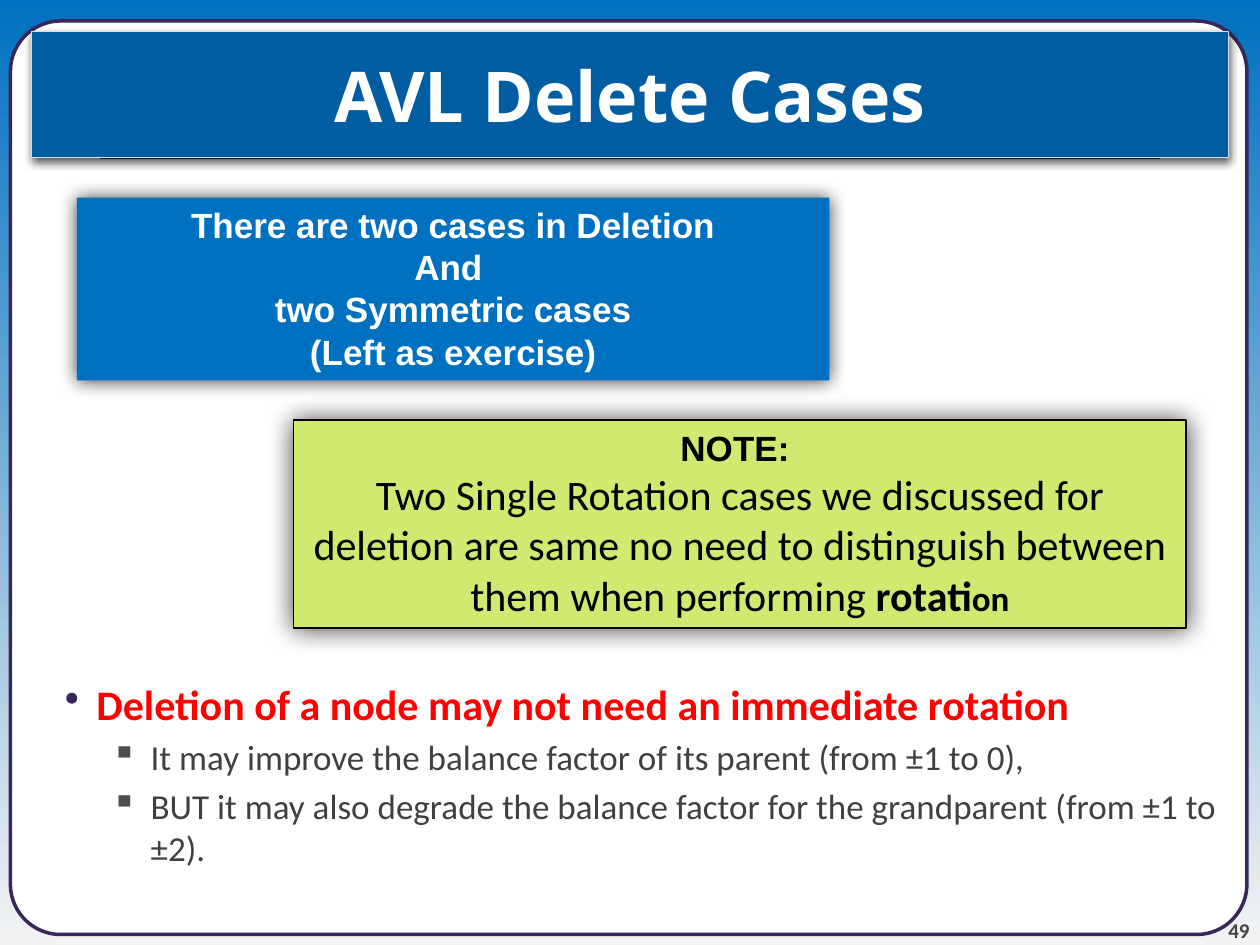
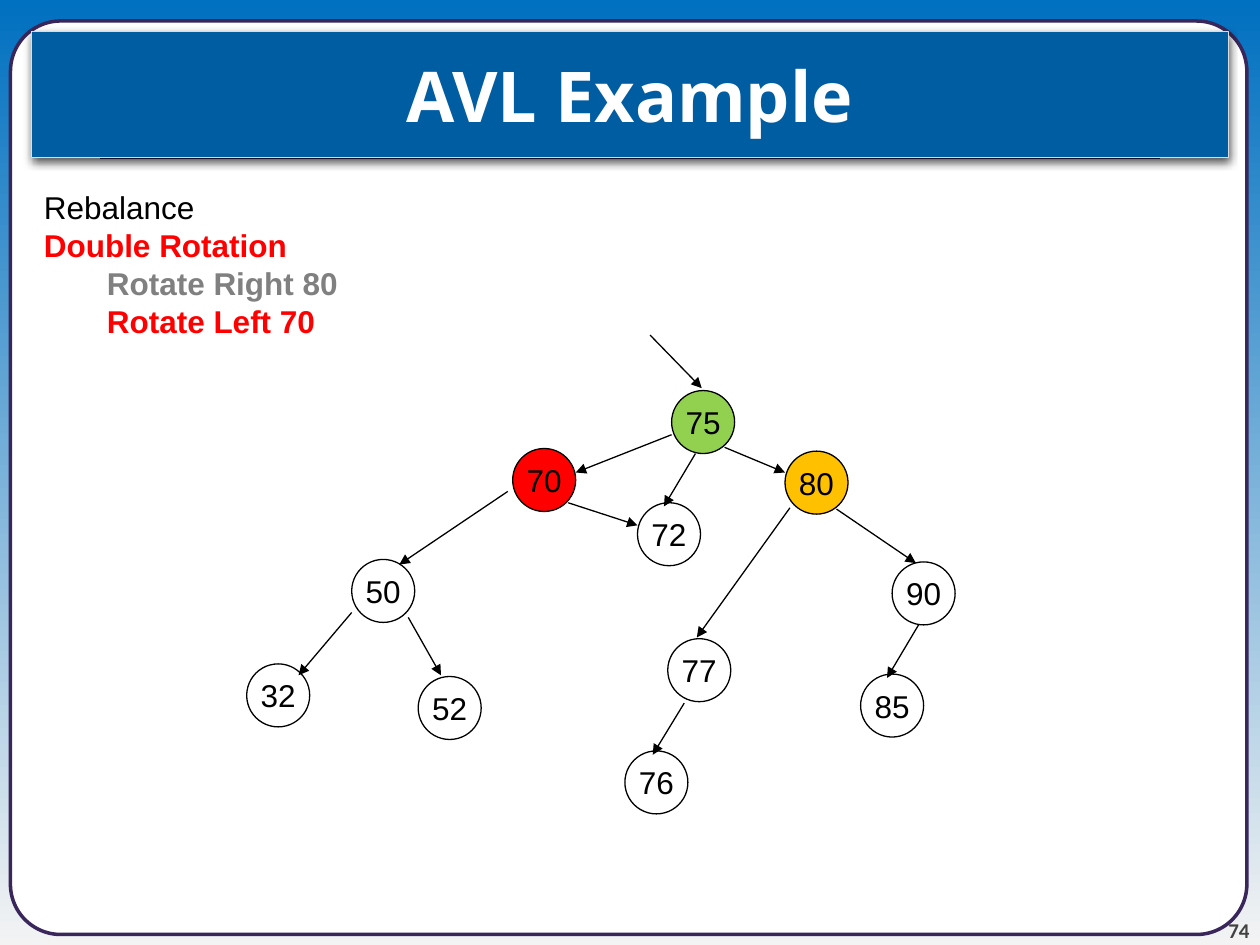
from lxml.etree import SubElement
from pptx import Presentation
from pptx.dml.color import RGBColor
from pptx.enum.shapes import MSO_CONNECTOR, MSO_SHAPE
from pptx.enum.text import MSO_ANCHOR, PP_ALIGN
from pptx.oxml.ns import qn
from pptx.util import Pt

COLORS = {
    "sky": "0070C0", "mist": "F3F3F3", "white": "FFFFFF", "black": "000000",
    "plum": "39275B", "title": "005DA2", "edge": "DCDCDC", "number": "424242",
    "lime": "CFE971", "red": "FF0000", "gray": "808080", "body": "404040",
    "bullet": "4D4D4D", "amber": "FFC000", "green": "92D050",
}

TITLE = {"name": "Open Sans", "size": Pt(40), "bold": True, "color": "white"}
NUMBER = {"name": "Calibri", "size": Pt(12), "bold": True, "color": "number"}
CASES = {"name": "Arial", "size": Pt(20), "bold": True, "color": "white"}
NOTE_HEAD = {**CASES, "color": "black"}
NOTE = {"name": "Calibri", "size": Pt(24), "bold": False, "color": "black"}
NOTE_BOLD = {**NOTE, "bold": True}
NOTE_END = {**NOTE_BOLD, "size": Pt(20)}
POINT = {**NOTE_BOLD, "color": "red"}
SUBPOINT = {**NOTE, "size": Pt(20), "color": "body"}
KEY = {"name": "Arial", "size": Pt(18), "bold": False, "color": "black"}
STEP = {**KEY, "bold": True, "color": "red"}
DONE = {**STEP, "color": "gray"}

NODES = [
    ("75", 242.8, 32.2, "green"), ("70", 152, 65.3, "red"),
    ("80", 307.6, 66.8, "amber"), ("72", 223.3, 96.3, None),
    ("50", 60, 128.7, None), ("90", 368.8, 130.1, None),
    ("32", 0, 188.4, None), ("52", 98, 195.6, None),
    ("77", 240.6, 174, None), ("85", 350.8, 194.2, None),
    ("76", 216.1, 238.1, None),
]
LINKS = [
    (230.5, 0.5, 260, 30.8), (242.8, 57.4, 188, 79),
    (273, 64.6, 307.6, 79), (256.4, 68.2, 238.4, 98.4),
    (183.7, 96.3, 223.3, 109.2), (149.2, 89.8, 87.2, 131.6),
    (60, 159, 29.6, 194.9), (92.3, 161.8, 111, 194.9),
    (337, 99.9, 382.4, 130.8), (310.4, 99.2, 257.2, 173.3),
    (383.9, 166.1, 365.9, 196.4), (250, 210.8, 232, 240.3),
]


def rgb(color):
    return RGBColor.from_string(COLORS[color])


def write(frame, paragraphs, align=PP_ALIGN.LEFT, anchor=MSO_ANCHOR.TOP, wrap=True):
    frame.word_wrap = wrap
    frame.vertical_anchor = anchor
    for index, runs in enumerate(paragraphs):
        paragraph = frame.paragraphs[0] if index == 0 else frame.add_paragraph()
        paragraph.alignment = align
        for words, style in runs:
            run = paragraph.add_run()
            run.text = words
            for name, value in style.items():
                if name == "color":
                    run.font.color.rgb = rgb(value)
                else:
                    setattr(run.font, name, value)


def textbox(slide, box):
    return slide.shapes.add_textbox(*map(Pt, box)).text_frame


def panel(slide, kind, box, fill=None, line=None, weight=0.75):
    shape = slide.shapes.add_shape(kind, *map(Pt, box))
    if fill:
        shape.fill.solid()
        shape.fill.fore_color.rgb = rgb(fill)
    else:
        shape.fill.background()
    if line:
        shape.line.color.rgb = rgb(line)
        shape.line.width = Pt(weight)
    else:
        shape.line.fill.background()
    shape.shadow.inherit = False
    return shape


def cast_shadow(shape, blur, distance, opacity):
    effects = shape._element.spPr.find(qn("a:effectLst"))
    shadow = SubElement(effects, qn("a:outerShdw"), blurRad=str(Pt(blur)),
                        dist=str(Pt(distance)), dir="5400000", algn="ctr", rotWithShape="0")
    tint = SubElement(shadow, qn("a:srgbClr"), val=COLORS["black"])
    SubElement(tint, qn("a:alpha"), val=str(opacity * 1000))


def connect(slide, ends, color, weight, arrow=False):
    link = slide.shapes.add_connector(MSO_CONNECTOR.STRAIGHT, *map(Pt, ends))
    link.line.color.rgb = rgb(color)
    link.line.width = Pt(weight)
    if arrow:
        SubElement(link.line._get_or_add_ln(), qn("a:tailEnd"), type="triangle")
    SubElement(link._element.spPr, qn("a:effectLst"))


def indent(paragraph, margin, first=0, level=0):
    paragraph.level = level
    properties = paragraph._p.get_or_add_pPr()
    properties.set("marL", str(Pt(margin)))
    properties.set("indent", str(Pt(first)))
    return properties


def add_bullet(paragraph, mark, color, margin, first, level):
    properties = indent(paragraph, margin, first, level)
    tint = SubElement(properties, qn("a:buClr"))
    SubElement(tint, qn("a:srgbClr"), val=COLORS[color])
    SubElement(properties, qn("a:buChar"), char=mark)


def framed_slide(deck, title, number):
    slide = deck.slides.add_slide(deck.slide_layouts[6])
    backdrop = slide.background.fill
    backdrop.gradient()
    backdrop.gradient_angle = 270
    for stop, color, position in zip(backdrop.gradient_stops, ("sky", "mist"), (0, 1)):
        stop.color.rgb = rgb(color)
        stop.position = position

    page = panel(slide, MSO_SHAPE.ROUNDED_RECTANGLE, (6, 12, 706.5, 522), "white", "plum", 2)
    page.adjustments[0] = 0.055
    footer = textbox(slide, (654, 510, 60, 28.8))
    for side in ("left", "top", "right", "bottom"):
        setattr(footer, f"margin_{side}", 0)
    write(footer, [[(number, NUMBER)]], PP_ALIGN.RIGHT, MSO_ANCHOR.BOTTOM)
    connect(slide, (57, 90, 663, 90), "plum", 2.25)

    banner = panel(slide, MSO_SHAPE.RECTANGLE, (18, 18, 684, 72), "title", "edge")
    cast_shadow(banner, 5, 2, 65)
    write(banner.text_frame, [[(title, TITLE)]], PP_ALIGN.CENTER, MSO_ANCHOR.MIDDLE)
    return slide


def note_box(slide, box):
    note = panel(slide, MSO_SHAPE.RECTANGLE, box, "lime", "black")
    cast_shadow(note, 15, 0, 75)
    write(note.text_frame, [
        [("NOTE: ", NOTE_HEAD)],
        [("Two Single Rotation cases we discussed for deletion are same no need "
          "to distinguish between them when performing ", NOTE),
         ("rotati", NOTE_BOLD), ("on", NOTE_END)],
    ], PP_ALIGN.CENTER)


def cases_box(slide, box):
    cases = panel(slide, MSO_SHAPE.RECTANGLE, box, "sky")
    cast_shadow(cases, 11, 0, 75)
    lines = ("There are two cases in Deletion", "And ",
             "two Symmetric cases", "(Left as exercise)")
    write(cases.text_frame, [[(line, CASES)] for line in lines], PP_ALIGN.CENTER)


def deletion_points(slide, box):
    points = textbox(slide, box)
    write(points, [
        [("Deletion of a node may not need an immediate rotation", POINT)],
        [("It may improve the balance factor of its parent (from ±1 to 0),", SUBPOINT)],
        [("BUT it may also degrade the balance factor for the grandparent "
          "(from ±1 to ±2).", SUBPOINT)],
    ])
    point, *subpoints = points.paragraphs
    add_bullet(point, "•", "plum", 36, -18, 0)
    for subpoint in subpoints:
        subpoint.space_before = Pt(4)
        add_bullet(subpoint, "▪", "bullet", 67, -22.5, 1)


def rotation_steps(slide, box):
    steps = textbox(slide, box)
    write(steps, [
        [("Rebalance", KEY)], [("Double Rotation", STEP)],
        [("Rotate Right 80", DONE)], [("Rotate Left 70", STEP)],
    ], wrap=False)
    for step in steps.paragraphs[2:]:
        indent(step, 36, level=1)


def avl_tree(slide, left, top, diameter):
    for key, x, y, fill in NODES:
        node = panel(slide, MSO_SHAPE.OVAL, (left + x, top + y, diameter, diameter),
                     fill, "black")
        write(node.text_frame, [[(key, KEY)]], PP_ALIGN.CENTER, MSO_ANCHOR.MIDDLE, False)
    for x1, y1, x2, y2 in LINKS:
        connect(slide, (left + x1, top + y1, left + x2, top + y2), "black", 0.75, True)


def main():
    deck = Presentation()
    deck.slide_width, deck.slide_height = Pt(720), Pt(540)

    delete_cases = framed_slide(deck, "AVL Delete Cases", "49")
    note_box(delete_cases, (167.8, 240, 510, 118.8))
    cases_box(delete_cases, (44, 113, 430, 104.4))
    deletion_points(delete_cases, (12, 384, 696, 126))

    example = framed_slide(deck, "AVL Example", "74")
    rotation_steps(example, (18, 104, 184, 94))
    avl_tree(example, 141, 191, 36)

    deck.save("out.pptx")


if __name__ == "__main__":
    main()
